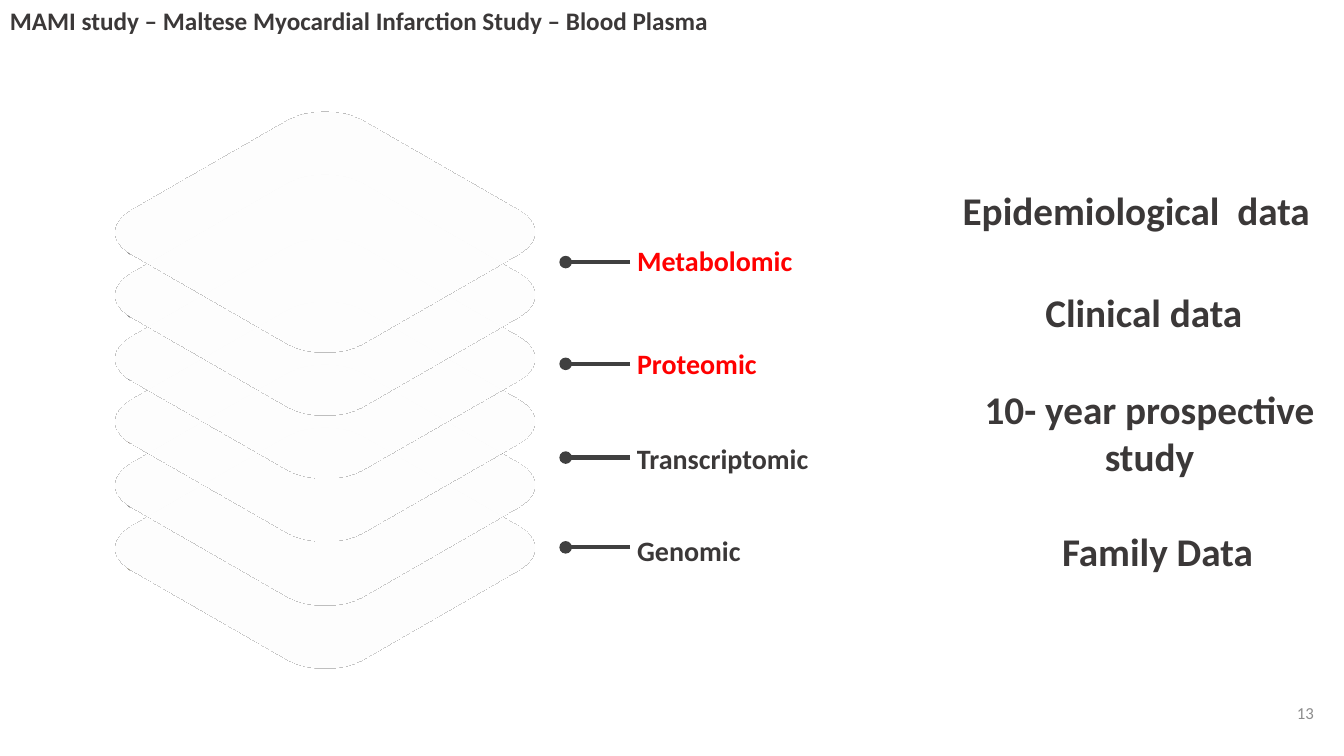
from lxml import etree
from pptx import Presentation
from pptx.dml.color import RGBColor
from pptx.enum.shapes import MSO_CONNECTOR, MSO_SHAPE
from pptx.enum.text import MSO_ANCHOR, MSO_AUTO_SIZE, PP_ALIGN
from pptx.oxml import parse_xml
from pptx.oxml.ns import nsdecls, qn
from pptx.util import Inches, Pt

SLIDE_W, SLIDE_H = Inches(13.33), Inches(7.5)
INK, RED, GREY, LEADER = "3B3838", "FF0000", "8C8C8C", "404040"

# Slab outlines from the bottom of the stack to the top
SLAB_LINES = ["FFD966", "7C7C7C", "F4B183", "8497B0", "222A35", "767171"]
SLAB_LEFT, SLAB_SIDE, TOP_SLAB, SLAB_STEP = 11.93, 24.46, 8.93, 8.37

# Layer name, colour, label top, label width, leader height (% of the slide)
LAYERS = [
    ("Metabolomic", RED, 31.6, 26.56, 34.67),
    ("Proteomic", RED, 45.2, 22.58, 48.13),
    ("Transcriptomic", INK, 57.73, 27.38, 60.53),
    ("Genomic", INK, 69.87, 22.58, 72.4),
]

# Data source, box (% of the slide), alignment, wrap
SOURCES = [
    ("Epidemiological  data", (70.89, 24, 27.61, 7.6), PP_ALIGN.LEFT, False),
    ("Clinical data", (77.04, 37.47, 17.1, 7.6), PP_ALIGN.LEFT, True),
    ("10- year prospective study", (72.24, 50.27, 26.56, 13.87), PP_ALIGN.CENTER, True),
    ("Family Data", (72.84, 69.07, 26.56, 7.6), PP_ALIGN.CENTER, True),
]


def rgb(color):
    return RGBColor.from_string(color)


def across(share):
    return round(SLIDE_W * share / 100)


def down(share):
    return round(SLIDE_H * share / 100)


def add_text(slide, text, box, size, color=INK, bold=True, align=PP_ALIGN.LEFT,
             wrap=True, grow=True, anchor=MSO_ANCHOR.TOP):
    left, top, width, height = box
    sp = slide.shapes.add_textbox(across(left), down(top), across(width), down(height))
    tf = sp.text_frame
    tf.word_wrap = wrap
    tf.auto_size = MSO_AUTO_SIZE.SHAPE_TO_FIT_TEXT if grow else MSO_AUTO_SIZE.NONE
    tf.vertical_anchor = anchor
    p = tf.paragraphs[0]
    p.text = text
    p.alignment = align
    p.font.name, p.font.size, p.font.bold = "Calibri", Pt(size), bold
    p.font.color.rgb = rgb(color)


def add_slab(slide, top, line_color):
    side = across(SLAB_SIDE)
    sp = slide.shapes.add_shape(MSO_SHAPE.ROUNDED_RECTANGLE, across(SLAB_LEFT), down(top),
                                side, side)
    sp.shadow.inherit = False
    sp.fill.solid()
    sp.fill.fore_color.rgb = rgb("FFFFFF")
    sp.line.color.rgb = rgb(line_color)
    sp.line.width = Pt(20.5)
    # 65 % opaque fill, laid flat by an isometric camera
    fill = sp._element.spPr.find(qn("a:solidFill"))
    etree.SubElement(fill[0], qn("a:alpha"), val="65000")
    sp._element.spPr.append(parse_xml(
        f'<a:scene3d {nsdecls("a")}><a:camera prst="isometricTopUp"/>'
        '<a:lightRig rig="threePt" dir="t"/></a:scene3d>'))


def add_leader(slide, y):
    line = slide.shapes.add_connector(MSO_CONNECTOR.STRAIGHT, across(46.89), down(y),
                                      across(42.09), down(y))
    line.line.color.rgb = rgb(LEADER)
    line.line.width = Pt(3)
    etree.SubElement(line.line._get_or_add_ln(), qn("a:tailEnd"), type="oval")
    etree.SubElement(line._element.spPr, qn("a:effectLst"))


def main():
    prs = Presentation()
    prs.slide_width, prs.slide_height = SLIDE_W, SLIDE_H
    slide = prs.slides.add_slide(prs.slide_layouts[6])

    # Title and slide number
    add_text(slide, "MAMI study – Maltese Myocardial Infarction Study – Blood Plasma",
             (0, 0, 54.39, 5.33), 18, wrap=False)
    add_text(slide, "13", (94.6, 90.8, 3.9, 6.93), 12, GREY, bold=False,
             align=PP_ALIGN.RIGHT, grow=False, anchor=MSO_ANCHOR.MIDDLE)

    # Stack of slabs
    for i, color in enumerate(SLAB_LINES):
        add_slab(slide, TOP_SLAB + SLAB_STEP * (len(SLAB_LINES) - 1 - i), color)

    # Layer labels with their leaders
    for name, color, top, width, leader_y in LAYERS:
        add_leader(slide, leader_y)
        add_text(slide, name, (46.66, top, width, 5.87), 20, color)

    # Data sources
    for name, box, align, wrap in SOURCES:
        add_text(slide, name, box, 28, align=align, wrap=wrap)

    prs.save("out.pptx")


if __name__ == "__main__":
    main()
